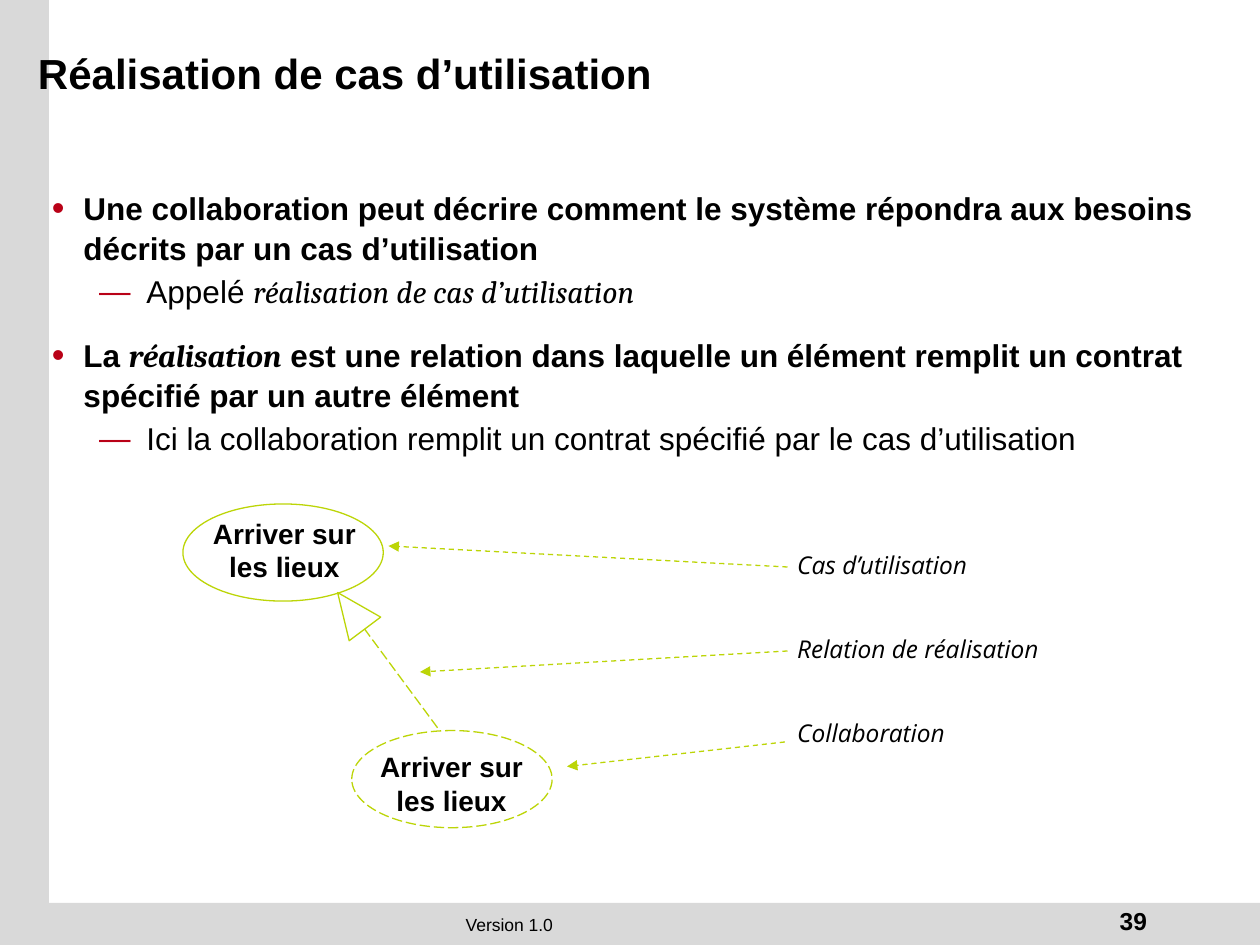
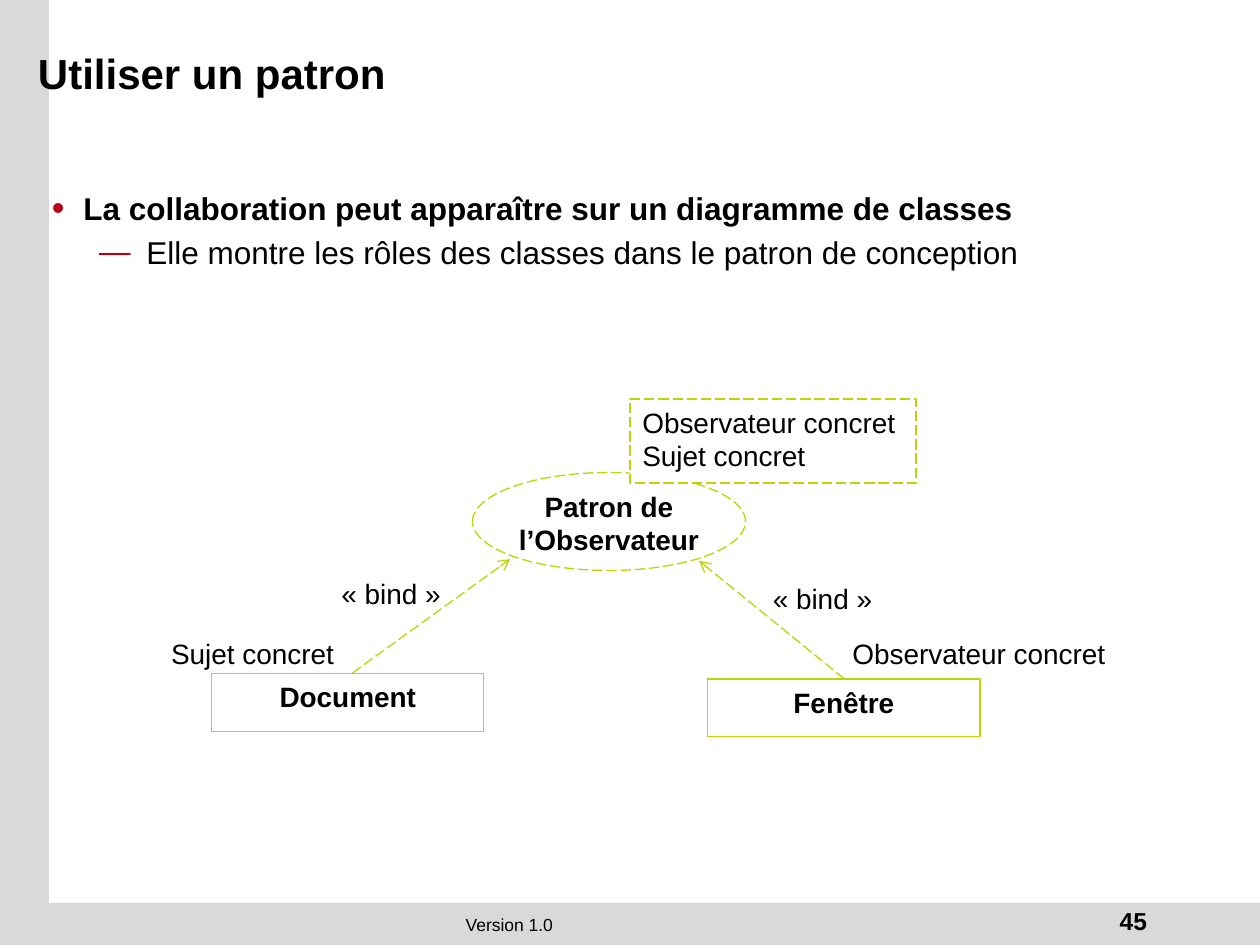
from lxml.etree import SubElement
from pptx import Presentation
from pptx.dml.color import RGBColor
from pptx.enum.dml import MSO_LINE
from pptx.enum.shapes import MSO_CONNECTOR, MSO_SHAPE
from pptx.enum.text import MSO_ANCHOR, MSO_AUTO_SIZE, PP_ALIGN
from pptx.oxml.ns import qn
from pptx.util import Pt

COLORS = {"text": "000000", "band": "D9D9D9", "paper": "FFFFFF", "line": "BCD507", "bullet": "B90117"}
BODY_FONT, TERM_FONT, LABEL_FONT = "Arial", "Cambria", "Open Sans"
BULLETS = [
    {"char": "•", "size": "115000", "margin": 18, "indent": -18, "before": 14},
    {"char": "—", "size": "100000", "margin": 54, "indent": -27, "before": 2},
]


class DeckBuilder:
    """Holds the shared style and the current slide, and adds each kind of element."""

    def __init__(self):
        self.presentation = Presentation()
        self.presentation.slide_width = Pt(720)
        self.presentation.slide_height = Pt(540)
        self.slide = None

    def color(self, name):
        return RGBColor.from_string(COLORS[name])

    def place(self, shape, left, top, width, height):
        shape.left, shape.top, shape.width, shape.height = Pt(left), Pt(top), Pt(width), Pt(height)

    def add_run(self, paragraph, text, size, bold=False, italic=False, font=BODY_FONT):
        run = paragraph.add_run()
        run.text = text
        run.font.name, run.font.size = font, Pt(size)
        run.font.bold, run.font.italic = bold, italic
        run.font.color.rgb = self.color("text")

    def fill_text(self, frame, lines, size=16, align=PP_ALIGN.LEFT, gap=0, **style):
        frame.vertical_anchor = MSO_ANCHOR.TOP
        for index, line in enumerate(lines):
            paragraph = frame.add_paragraph() if index else frame.paragraphs[0]
            paragraph.alignment = align
            if index:
                paragraph.space_before = Pt(gap)
            self.add_run(paragraph, line, size, **style)

    def text(self, box, *lines, wrap=True, **style):
        shape = self.slide.shapes.add_textbox(*map(Pt, box))
        shape.text_frame.word_wrap = wrap
        self.fill_text(shape.text_frame, lines, **style)

    def shape(self, kind, box, fill="paper", line="line", dash=None):
        shape = self.slide.shapes.add_shape(kind, *map(Pt, box))
        shape.shadow.inherit = False
        shape.fill.solid()
        shape.fill.fore_color.rgb = self.color(fill)
        if line:
            self.stroke(shape.line, dash)
        else:
            shape.line.fill.background()
        return shape

    def stroke(self, line, dash):
        line.color.rgb = self.color("line")
        line.width = Pt(0.75)
        if dash:
            line.dash_style = dash

    def box(self, box, *lines, dash=None, **style):
        shape = self.shape(MSO_SHAPE.RECTANGLE, box, dash=dash)
        self.fill_text(shape.text_frame, lines, **style)

    def connector(self, start, end, dash, arrowhead=None):
        connector = self.slide.shapes.add_connector(MSO_CONNECTOR.STRAIGHT, *map(Pt, start + end))
        self.stroke(connector.line, dash)
        properties = connector.element.spPr
        if arrowhead:
            SubElement(properties.find(qn("a:ln")), qn("a:tailEnd"), type=arrowhead)
        SubElement(properties, qn("a:effectLst"))

    def new_slide(self, title, number):
        self.slide = self.presentation.slides.add_slide(self.presentation.slide_layouts[1])
        heading = self.slide.shapes.title
        self.place(heading, 14.5, 13, 613.5, 57)
        heading.text_frame.auto_size = MSO_AUTO_SIZE.NONE
        heading.text_frame.vertical_anchor = MSO_ANCHOR.MIDDLE
        paragraph = heading.text_frame.paragraphs[0]
        paragraph.alignment = PP_ALIGN.LEFT
        self.add_run(paragraph, title, 24, bold=True)
        for band in ((0, 0, 28, 540), (0, 516, 720, 24)):
            shape = self.shape(MSO_SHAPE.RECTANGLE, band, fill="band", line=None)
            heading.element.addprevious(shape.element)
        self.text((8, 519, 566, 19.5), "Version 1.0", size=10, align=PP_ALIGN.CENTER)
        self.text((548.5, 514, 114, 24), str(number), size=14, align=PP_ALIGN.RIGHT, bold=True)

    def bullets(self, height, items):
        body = self.slide.placeholders[1]
        self.place(body, 22.5, 103.5, 677, height)
        frame = body.text_frame
        frame.auto_size = MSO_AUTO_SIZE.NONE
        for index, (level, pieces) in enumerate(items):
            bullet = BULLETS[level]
            paragraph = frame.add_paragraph() if index else frame.paragraphs[0]
            paragraph.level = level
            properties = paragraph._p.get_or_add_pPr()
            properties.set("marL", str(Pt(bullet["margin"])))
            properties.set("indent", str(Pt(bullet["indent"])))
            SubElement(SubElement(properties, qn("a:buClr")), qn("a:srgbClr"), val=COLORS["bullet"])
            SubElement(properties, qn("a:buSzPct"), val=bullet["size"])
            SubElement(properties, qn("a:buFont"), typeface=BODY_FONT)
            SubElement(properties, qn("a:buChar"), char=bullet["char"])
            paragraph.line_spacing = 1.05
            paragraph.space_before = Pt(bullet["before"] if index else 0)
            for position, piece in enumerate(pieces):
                is_term = position % 2 == 1
                font = TERM_FONT if is_term else BODY_FONT
                self.add_run(paragraph, piece, 18, bold=level == 0, italic=is_term, font=font)


def add_realization_slide(deck):
    deck.new_slide("Réalisation de cas d’utilisation", 39)
    deck.bullets(155, [
        (0, ["Une collaboration peut décrire comment le système répondra aux besoins "
             "décrits par un cas d’utilisation"]),
        (1, ["Appelé ", "réalisation de cas d’utilisation"]),
        (0, ["La ", "réalisation", " est une relation dans laquelle un élément remplit un contrat "
             "spécifié par un autre élément"]),
        (1, ["Ici la collaboration remplit un contrat spécifié par le cas d’utilisation"]),
    ])
    name = "Arriver sur les lieux"
    name_style = {"align": PP_ALIGN.CENTER, "bold": True}
    deck.shape(MSO_SHAPE.OVAL, (104.5, 288, 114.5, 55.5))
    deck.text((112.5, 291.5, 100, 40), name, **name_style)
    deck.text((448.5, 310.5, 166, 170), "Cas d’utilisation", "Relation de réalisation", "Collaboration",
              size=14, gap=31.2, italic=True, font=LABEL_FONT)
    for start, end in (
        ((450, 324), (222, 312)),
        ((450, 372), (240, 384)),
        ((448.5, 424), (324, 438)),
    ):
        deck.connector(start, end, MSO_LINE.DASH, "triangle")
    deck.connector((208, 359), (259, 428), MSO_LINE.LONG_DASH)
    triangle = deck.shape(MSO_SHAPE.ISOSCELES_TRIANGLE, (189.5, 336, 22.5, 26))
    triangle.rotation = 323.1
    deck.shape(MSO_SHAPE.OVAL, (201, 417.5, 114.5, 55.5), dash=MSO_LINE.LONG_DASH)
    deck.text((208, 425, 100, 41), name, **name_style)


def add_pattern_slide(deck):
    deck.new_slide("Utiliser un patron", 45)
    deck.bullets(52.5, [
        (0, ["La collaboration peut apparaître sur un diagramme de classes"]),
        (1, ["Elle montre les rôles des classes dans le patron de conception"]),
    ])
    dash = MSO_LINE.LONG_DASH
    name_style = {"align": PP_ALIGN.CENTER, "bold": True}
    subject, observer = "Sujet concret", "Observateur concret"
    deck.connector((201.5, 384.5), (291.5, 319.5), dash, "arrow")
    deck.connector((482.5, 388), (399.5, 320.5), dash, "arrow")
    deck.shape(MSO_SHAPE.OVAL, (270, 270, 156, 56), dash=dash)
    deck.text((288, 276, 120, 49), "Patron de l’Observateur", **name_style)
    deck.box((360, 228, 163.5, 48), observer, subject, dash=dash)
    deck.box((121, 385, 155.5, 33), "Document", **name_style)
    deck.text((78, 360, 120, 25), subject, align=PP_ALIGN.RIGHT)
    deck.box((404.5, 388, 155.5, 33), "Fenêtre", **name_style)
    deck.text((480, 360, 162, 25), observer)
    for left, top in ((188, 326), (434.5, 328.5)):
        deck.text((left, top, 71, 26.5), "« bind »", wrap=False)


def main():
    deck = DeckBuilder()
    add_realization_slide(deck)
    add_pattern_slide(deck)
    deck.presentation.save("out.pptx")


if __name__ == "__main__":
    main()
